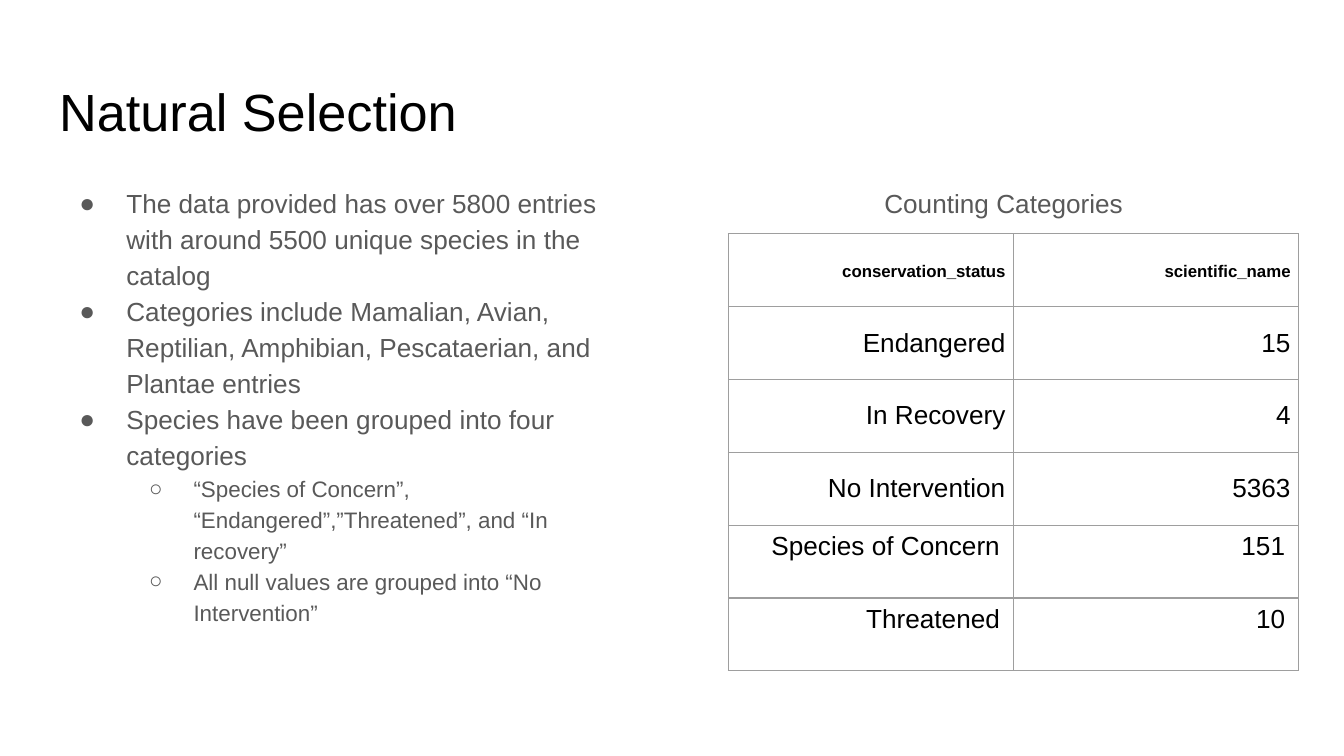
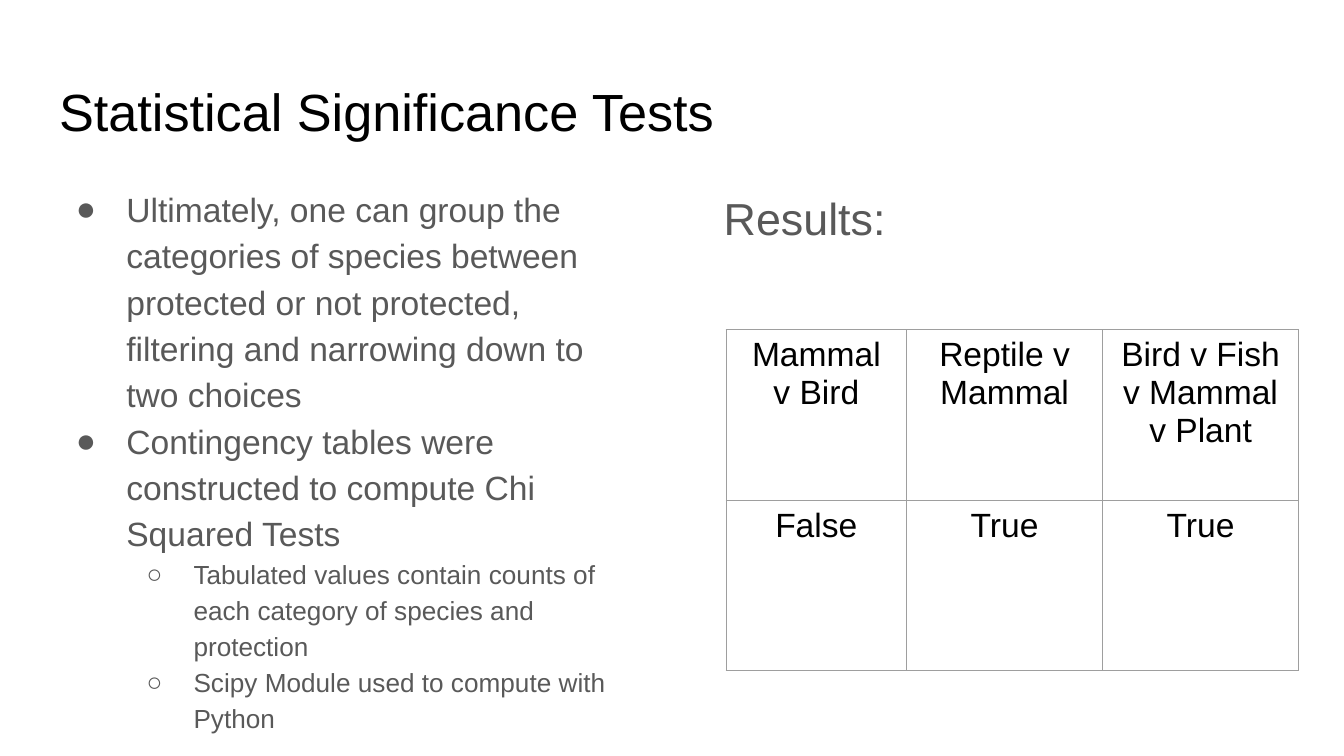
from lxml.etree import SubElement
from pptx import Presentation
from pptx.dml.color import RGBColor
from pptx.enum.text import MSO_ANCHOR, MSO_AUTO_SIZE, PP_ALIGN
from pptx.oxml.ns import qn
from pptx.util import Pt

BLACK, GRAY, RULE = "000000", "595959", "9E9E9E"
MARGIN = 7.2
BULLETS = ["●", "○"]


def color(value):
    return RGBColor.from_string(value)


def write(paragraph, text, size, ink, bold=False, **layout):
    run = paragraph.add_run()
    run.text = text
    look = {"name": "Arial", "size": Pt(size), "bold": bold}
    for key, value in look.items():
        setattr(run.font, key, value)
    run.font.color.rgb = color(ink)
    spacing = {"alignment": PP_ALIGN.LEFT, "line_spacing": 1.0,
               "space_before": Pt(0), "space_after": Pt(0)}
    for key, value in {**spacing, **layout}.items():
        setattr(paragraph, key, value)


topics = [
    {
        "title": "Natural Selection",
        "sizes": [14, 12],
        "hanging": [25.2, 23.8],
        "points": [
            (0, "The data provided has over 5800 entries with around 5500 unique species in the catalog"),
            (0, "Categories include Mamalian, Avian, Reptilian, Amphibian, Pescataerian, and Plantae entries"),
            (0, "Species have been grouped into four categories"),
            (1, "“Species of Concern”, “Endangered”,”Threatened”, and “In recovery”"),
            (1, "All null values are grouped into “No Intervention”"),
        ],
        "caption": ("Counting Categories", 14),
        "caption_layout": {"alignment": PP_ALIGN.CENTER},
        "grid_at": (390.3, 125.2),
        "columns": [152.7, 152.7],
        "row_height": 39.05,
        "grid_size": 14,
        "grid_align": PP_ALIGN.RIGHT,
        "centered_rows": 4,
        "label_rows": 1,
        "rows": [
            ("conservation_status", "scientific_name"),
            ("Endangered", "15"),
            ("In Recovery", "4"),
            ("No Intervention", "5363"),
            ("Species of Concern", "151"),
            ("Threatened", "10"),
        ],
    },
    {
        "title": "Statistical Significance Tests",
        "sizes": [18, 14],
        "hanging": [27, 25.2],
        "points": [
            (0, "Ultimately, one can group the categories of species between protected or not protected, filtering and narrowing down to two choices"),
            (0, "Contingency tables were constructed to compute Chi Squared Tests"),
            (1, "Tabulated values contain counts of each category of species and protection"),
            (1, "Scipy Module used to compute with Python"),
        ],
        "caption": ("Results:", 24),
        "caption_layout": {"space_after": Pt(16)},
        "grid_at": (389, 176.6),
        "columns": [96.7, 105, 105],
        "row_height": 91.4,
        "grid_size": 18,
        "grid_align": PP_ALIGN.CENTER,
        "centered_rows": 0,
        "label_rows": 0,
        "rows": [
            ("Mammal v Bird", "Reptile v Mammal", "Bird v Fish v Mammal v Plant"),
            ("False", "True", "True"),
        ],
    },
]
regions = [(24.5, 35, 671, 45.1), (24.5, 90.75, 314.5, 269), (380.5, 90.75, 314.5, 269)]

deck = Presentation()
deck.slide_width, deck.slide_height = Pt(720), Pt(405)

for topic in topics:
    slide = deck.slides.add_slide(deck.slide_layouts[3])
    for region, placeholder in zip(regions, slide.placeholders):
        for side, length in zip(("left", "top", "width", "height"), region):
            setattr(placeholder, side, Pt(length))
        frame = placeholder.text_frame
        settings = {"word_wrap": True, "auto_size": MSO_AUTO_SIZE.NONE,
                    "vertical_anchor": MSO_ANCHOR.TOP}
        for side in ("left", "top", "right", "bottom"):
            settings[f"margin_{side}"] = Pt(MARGIN)
        for key, value in settings.items():
            setattr(frame, key, value)

    heading, outline, caption = [p.text_frame for p in slide.placeholders]
    write(heading.paragraphs[0], topic["title"], 28, BLACK)

    for number, (level, point) in enumerate(topic["points"]):
        line = outline.add_paragraph() if number else outline.paragraphs[0]
        line.level = level
        write(line, point, topic["sizes"][level], GRAY, line_spacing=1.15)
        properties = line._p.get_or_add_pPr()
        properties.set("marL", str(Pt(36 * (level + 1))))
        properties.set("indent", str(-Pt(topic["hanging"][level])))
        bullet_color = SubElement(properties, qn("a:buClr"))
        SubElement(bullet_color, qn("a:srgbClr"), val=GRAY)
        SubElement(properties, qn("a:buFont"), typeface="Arial")
        SubElement(properties, qn("a:buChar"), char=BULLETS[level])

    label = caption.paragraphs[0]
    write(label, *topic["caption"], GRAY, line_spacing=1.15, **topic["caption_layout"])
    properties = label._p.get_or_add_pPr()
    properties.set("marL", "0")
    properties.set("indent", "0")
    SubElement(properties, qn("a:buNone"))

    left, top = topic["grid_at"]
    rows, columns = topic["rows"], topic["columns"]
    grid = slide.shapes.add_table(
        len(rows), len(columns), Pt(left), Pt(top),
        Pt(sum(columns)), Pt(topic["row_height"] * len(rows))).table
    grid.first_row = grid.horz_banding = False
    for column, width in zip(grid.columns, columns):
        column.width = Pt(width)
    for r, texts in enumerate(rows):
        grid.rows[r].height = Pt(topic["row_height"])
        centered = r < topic["centered_rows"]
        side_margin = Pt(4.3 if centered else MARGIN)
        for c, text in enumerate(texts):
            cell = grid.cell(r, c)
            settings = {
                "margin_left": side_margin, "margin_right": side_margin,
                "margin_top": Pt(3.6), "margin_bottom": Pt(3.6),
                "vertical_anchor": MSO_ANCHOR.MIDDLE if centered else MSO_ANCHOR.TOP,
            }
            for key, value in settings.items():
                setattr(cell, key, value)
            entry = cell.text_frame.paragraphs[0]
            if r < topic["label_rows"]:
                write(entry, text, 9, BLACK, True, alignment=topic["grid_align"],
                      line_spacing=1.15, space_before=Pt(9))
            else:
                write(entry, text, topic["grid_size"], BLACK, alignment=topic["grid_align"])
            borders = cell._tc.get_or_add_tcPr()
            for edge in ("lnL", "lnR", "lnT", "lnB"):
                border = SubElement(borders, qn(f"a:{edge}"), w=str(Pt(0.75)))
                ink = SubElement(border, qn("a:solidFill"))
                SubElement(ink, qn("a:srgbClr"), val=RULE)
            cell.fill.background()

deck.save("out.pptx")
